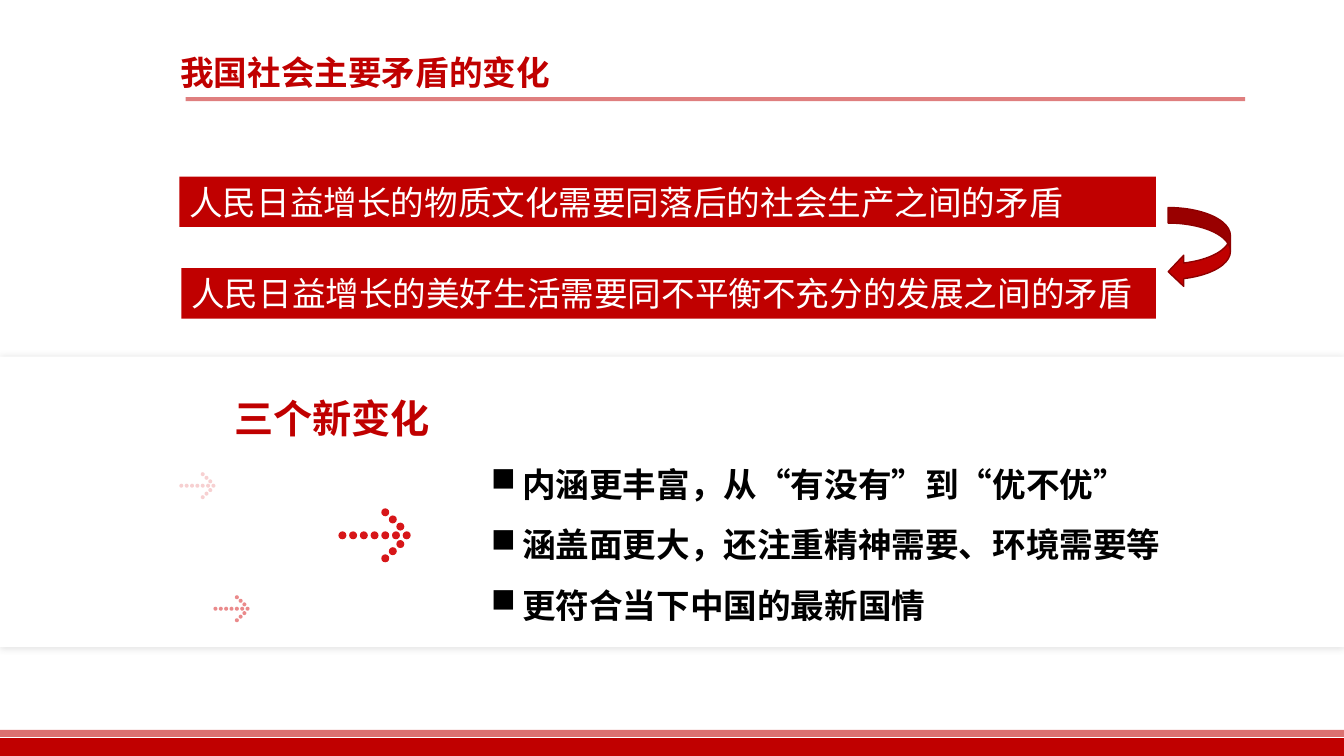
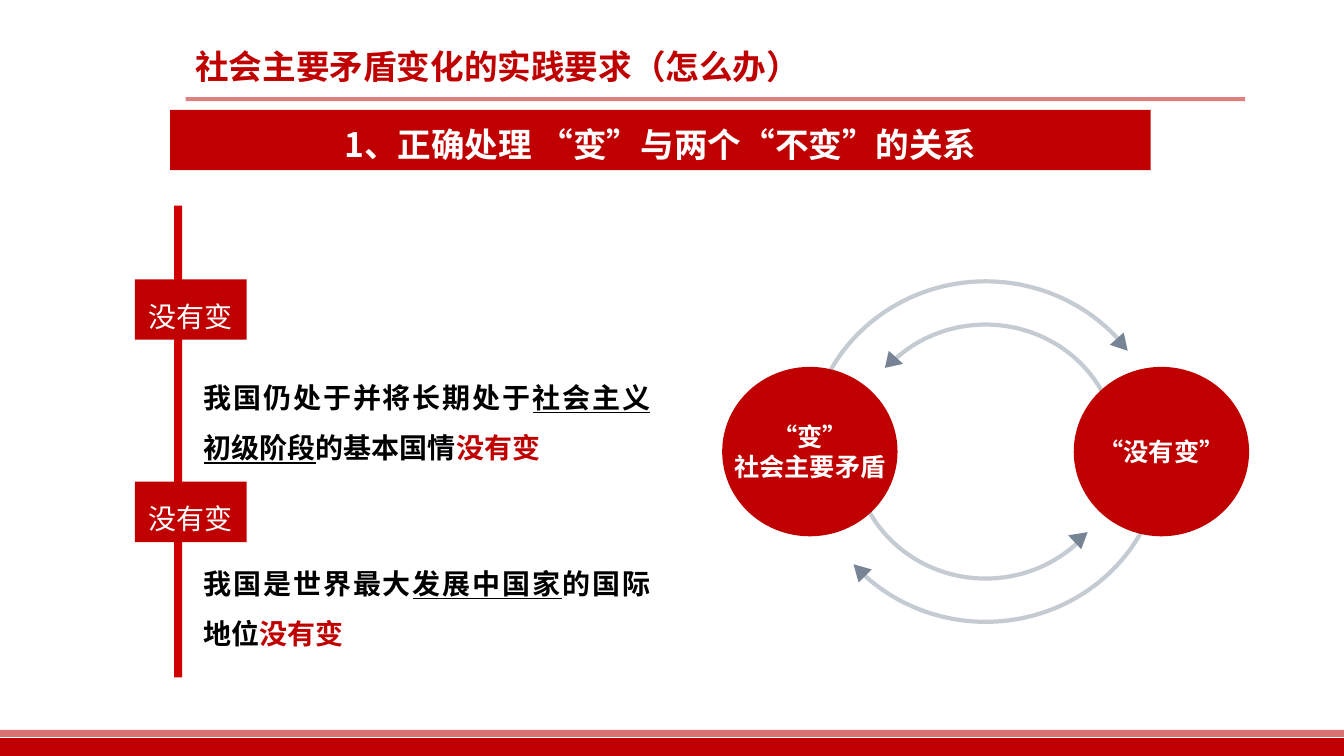
from dataclasses import dataclass
from typing import NamedTuple, Optional

from lxml import etree
from pptx import Presentation
from pptx.dml.color import RGBColor
from pptx.enum.shapes import MSO_SHAPE
from pptx.enum.text import MSO_ANCHOR, MSO_AUTO_SIZE, PP_ALIGN
from pptx.oxml.ns import qn
from pptx.util import Cm, Pt

RECTANGLE, OVAL, ARC = MSO_SHAPE.RECTANGLE, MSO_SHAPE.OVAL, MSO_SHAPE.ARC
CURVED_ARROW = MSO_SHAPE.CURVED_LEFT_ARROW
TOP, MIDDLE = MSO_ANCHOR.TOP, MSO_ANCHOR.MIDDLE
LEFT, CENTER, JUSTIFY = PP_ALIGN.LEFT, PP_ALIGN.CENTER, PP_ALIGN.JUSTIFY
NO_AUTOFIT = MSO_AUTO_SIZE.NONE

FONT = "Noto Sans CJK SC"
RED, DARK_RED, BRIGHT_RED, DOT_RED = "C00000", "8E0000", "D00000", "D71619"
WHITE, BLACK, SLATE, SHADOW_GREY = "FFFFFF", "000000", "778495", "595959"
PAGE_WIDTH, PAGE_HEIGHT = 33.87, 19.05
TITLE_ONLY = 5


class Area(NamedTuple):
    left: float
    top: float
    width: float
    height: float

    def lengths(self) -> tuple:
        return tuple(Cm(value) for value in self)


class Span(NamedTuple):
    text: str
    color: Optional[str] = None
    underline: bool = False


@dataclass(frozen=True)
class TextStyle:
    size: float
    color: str
    bold: bool = False
    align: PP_ALIGN = LEFT
    spacing: float = 1.0
    anchor: MSO_ANCHOR = MIDDLE
    bullet: str = ""
    wrap: bool = True


class DotArrow(NamedTuple):
    left: float
    top: float
    scale: float
    opacity: int


class Orbit(NamedTuple):
    radius_x: float
    radius_y: float
    start: float
    stop: float
    head: tuple


TITLE = TextStyle(24, RED, bold=True)
BAR = TextStyle(24, WHITE, align=JUSTIFY)
HEADING = TextStyle(28, RED, bold=True, align=CENTER, wrap=False)
BULLETS = TextStyle(24, BLACK, bold=True, spacing=1.5, anchor=TOP, bullet="■")
BANNER = TextStyle(24, WHITE, bold=True, align=CENTER, spacing=1.2)
LABEL = TextStyle(20, WHITE, align=CENTER, spacing=1.4)
BODY = TextStyle(20, BLACK, bold=True, align=JUSTIFY, spacing=1.5, anchor=TOP)
CIRCLE = TextStyle(18, WHITE, bold=True, align=CENTER, wrap=False)

DOT_ARROWS = [
    DotArrow(5.38, 15.29, 0.5, 50),
    DotArrow(8.53, 13.39, 1, 100),
    DotArrow(4.52, 12.19, 0.5, 20),
]

ORBIT_X, ORBIT_Y = 24.84, 11.38
CIRCLE_OFFSET, CIRCLE_WIDTH, CIRCLE_HEIGHT = 4.43, 4.42, 4.27
ORBITS = [
    Orbit(4.45, 4.29, 180, 320, ((28.32, 8.38), (27.97, 8.69), (28.42, 8.84))),
    Orbit(3.33, 3.2, 45, 184, ((26.92, 13.49), (27.25, 13.84), (27.41, 13.41))),
    Orbit(3.33, 3.2, 225, 360, ((22.76, 9.17), (22.4, 8.84), (22.3, 9.27))),
    Orbit(4.45, 4.29, 0, 137, ((21.64, 14.68), (21.97, 14.35), (21.51, 14.22))),
]


def rgb(color: str) -> RGBColor:
    return RGBColor.from_string(color)


def set_opacity(shape, percent: int) -> None:
    for color in shape.element.iter(qn("a:srgbClr")):
        etree.SubElement(color, qn("a:alpha"), val=str(percent * 1000))


def paint(shape, fill: str, opacity: int = 100) -> None:
    shape.shadow.inherit = False
    shape.fill.solid()
    shape.fill.fore_color.rgb = rgb(fill)
    shape.line.fill.background()
    if opacity < 100:
        set_opacity(shape, opacity)


def add_block(shapes, kind: MSO_SHAPE, area: Area, fill: str, opacity: int = 100):
    shape = shapes.add_shape(kind, *area.lengths())
    paint(shape, fill, opacity)
    return shape


def add_bullet(paragraph, character: str) -> None:
    indent = Cm(0.79)
    properties = paragraph._p.get_or_add_pPr()
    properties.set("marL", str(indent))
    properties.set("indent", str(-indent))
    etree.SubElement(properties, qn("a:buChar"), char=character)


def style_paragraph(paragraph, style: TextStyle) -> None:
    paragraph.alignment = style.align
    paragraph.line_spacing = style.spacing
    if style.bullet:
        add_bullet(paragraph, style.bullet)
    font = paragraph.font
    font.size = Pt(style.size)
    font.bold = style.bold
    font.color.rgb = rgb(style.color)
    font.name = FONT
    defaults = paragraph._p.get_or_add_pPr().find(qn("a:defRPr"))
    etree.SubElement(defaults, qn("a:ea"), typeface=FONT)


def write(shape, style: TextStyle, *lines: list[Span]) -> None:
    frame = shape.text_frame
    frame.word_wrap = style.wrap
    frame.auto_size = NO_AUTOFIT
    frame.vertical_anchor = style.anchor
    for index, spans in enumerate(lines):
        paragraph = frame.add_paragraph() if index else frame.paragraphs[0]
        style_paragraph(paragraph, style)
        for span in spans:
            run = paragraph.add_run()
            run.text = span.text
            if span.color:
                run.font.color.rgb = rgb(span.color)
            if span.underline:
                run.font.underline = True


def add_text(page, area: Area, style: TextStyle, *lines: list[Span]) -> None:
    write(page.shapes.add_textbox(*area.lengths()), style, *lines)


def add_filled_text(page, kind: MSO_SHAPE, area: Area, style: TextStyle, *texts: str) -> None:
    shape = add_block(page.shapes, kind, area, RED)
    write(shape, style, *[[Span(text)] for text in texts])


def add_page(deck, title: str, title_area: Area):
    page = deck.slides.add_slide(deck.slide_layouts[TITLE_ONLY])
    add_block(page.shapes, RECTANGLE, Area(0, 18.6, PAGE_WIDTH, 0.45), RED)
    add_block(page.shapes, RECTANGLE, Area(0, 18.39, PAGE_WIDTH, 0.18), RED, 56)
    add_block(page.shapes, RECTANGLE, Area(4.68, 2.45, 26.7, 0.1), RED, 50)
    box = page.shapes.title
    box.left, box.top, box.width, box.height = title_area.lengths()
    write(box, TITLE, [Span(title)])
    return page


def add_panel(page) -> None:
    panel = add_block(page.shapes, RECTANGLE, Area(0, 8.99, PAGE_WIDTH, 7.32), WHITE)
    effects = panel.element.spPr.find(qn("a:effectLst"))
    shadow = etree.SubElement(
        effects, qn("a:outerShdw"), blurRad=str(Pt(5)), dist="0", dir="0", algn="ctr", rotWithShape="0"
    )
    color = etree.SubElement(shadow, qn("a:srgbClr"), val=SHADOW_GREY)
    etree.SubElement(color, qn("a:alpha"), val="20000")


def add_dot_arrow(page, arrow: DotArrow) -> None:
    shaft = [(0.27 * step, 0.0) for step in range(7)]
    tip = shaft[-1][0]
    wings = [
        (tip - 0.16 - 0.19 * step, side * (0.22 + 0.18 * step))
        for side in (1, -1)
        for step in range(3)
    ]
    group = page.shapes.add_group_shape()
    size = 0.2 * arrow.scale
    for across, down in shaft + wings:
        area = Area(arrow.left + across * arrow.scale, arrow.top + down * arrow.scale, size, size)
        add_block(group.shapes, OVAL, area, DOT_RED, arrow.opacity)


def add_orbit(page, orbit: Orbit) -> None:
    area = Area(
        ORBIT_X - orbit.radius_x, ORBIT_Y - orbit.radius_y, 2 * orbit.radius_x, 2 * orbit.radius_y
    )
    arc = page.shapes.add_shape(ARC, *area.lengths())
    arc.shadow.inherit = False
    arc.fill.background()
    arc.adjustments[0] = orbit.start * 0.6
    arc.adjustments[1] = orbit.stop * 0.6
    arc.line.color.rgb = rgb(SLATE)
    arc.line.width = Pt(3)
    set_opacity(arc, 42)
    first, *others = [(Cm(across), Cm(down)) for across, down in orbit.head]
    builder = page.shapes.build_freeform(*first)
    builder.add_line_segments(others, close=True)
    paint(builder.convert_to_shape(), SLATE)


def build_change_page(deck) -> None:
    page = add_page(deck, "我国社会主要矛盾的变化", Area(4.29, 1.19, 16.46, 1.27))
    add_filled_text(
        page, RECTANGLE, Area(4.52, 4.45, 24.61, 1.27), BAR,
        "人民日益增长的物质文化需要同落后的社会生产之间的矛盾",
    )
    add_filled_text(
        page, RECTANGLE, Area(4.57, 6.76, 24.56, 1.27), BAR,
        "人民日益增长的美好生活需要同不平衡不充分的发展之间的矛盾",
    )
    arrow = add_block(page.shapes, CURVED_ARROW, Area(29.44, 5.23, 1.57, 2.01), RED)
    arrow.line.color.rgb = rgb(DARK_RED)
    arrow.line.width = Pt(1)
    add_panel(page)
    for dot_arrow in DOT_ARROWS:
        add_dot_arrow(page, dot_arrow)
    add_text(
        page, Area(12.12, 11.05, 19.25, 4.88), BULLETS,
        [Span("内涵更丰富，从“有没有”到“优不优”")],
        [Span("涵盖面更大，还注重精神需要、环境需要等")],
        [Span("更符合当下中国的最新国情")],
    )
    add_text(page, Area(5.64, 9.8, 5.46, 1.45), HEADING, [Span("三个新变化")])


def build_practice_page(deck) -> None:
    page = add_page(deck, "社会主要矛盾变化的实践要求（怎么办）", Area(4.67, 1.04, 25.88, 1.27))
    add_block(page.shapes, RECTANGLE, Area(4.39, 5.18, 0.2, 11.89), BRIGHT_RED)
    unchanged = Span("没有变", RED)
    statements = [
        (9.04, [Span("我国仍处于并将长期处于"), Span("社会主义初级阶段", underline=True), Span("的基本国情"), unchanged]),
        (13.72, [Span("我国是世界最大"), Span("发展中国家", underline=True), Span("的国际地位"), unchanged]),
    ]
    for top, spans in statements:
        add_text(page, Area(4.88, top, 11.76, 2.82), BODY, spans)
    for top in (7.04, 12.14):
        add_filled_text(page, RECTANGLE, Area(3.4, top, 2.82, 1.52), LABEL, "没有变")
    for orbit in ORBITS:
        add_orbit(page, orbit)
    for side, texts in ((-1, ("“变”", "社会主要矛盾")), (1, ("“没有变”",))):
        left = ORBIT_X + side * CIRCLE_OFFSET - CIRCLE_WIDTH / 2
        area = Area(left, ORBIT_Y - CIRCLE_HEIGHT / 2, CIRCLE_WIDTH, CIRCLE_HEIGHT)
        add_filled_text(page, OVAL, area, CIRCLE, *texts)
    add_filled_text(
        page, RECTANGLE, Area(4.29, 2.77, 24.71, 1.52), BANNER,
        "1、正确处理 “变”与两个“不变”的关系",
    )


def main() -> None:
    deck = Presentation()
    deck.slide_width, deck.slide_height = Cm(PAGE_WIDTH), Cm(PAGE_HEIGHT)
    build_change_page(deck)
    build_practice_page(deck)
    deck.save("out.pptx")


if __name__ == "__main__":
    main()
